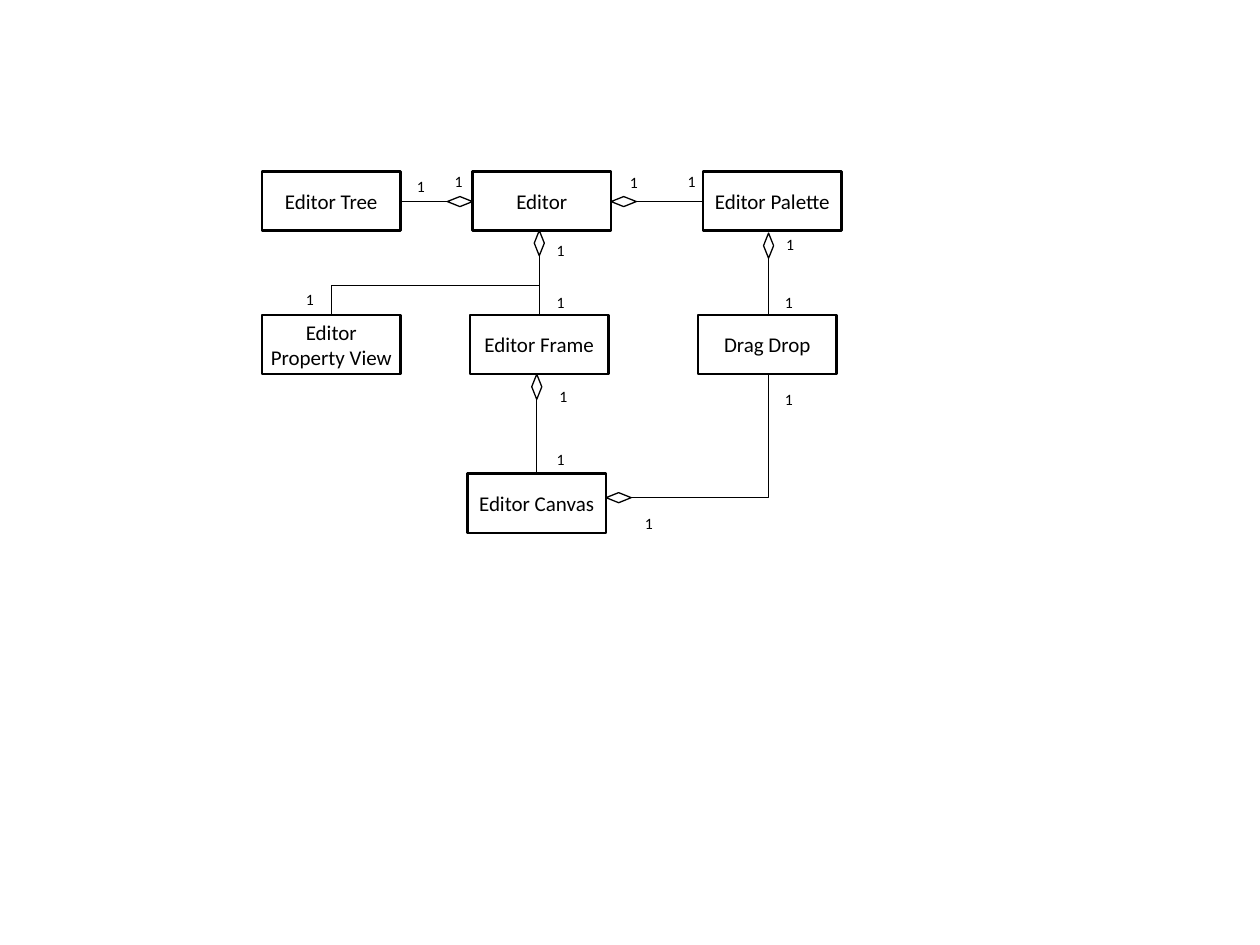
import dataclasses

import pptx
import pptx.dml.color
import pptx.enum.shapes
import pptx.enum.text
import pptx.oxml
import pptx.oxml.ns
import pptx.util

SHAPES = pptx.enum.shapes.MSO_SHAPE
CONNECTORS = pptx.enum.shapes.MSO_CONNECTOR


@dataclasses.dataclass(frozen=True)
class Theme:
    ink: str = "000000"
    paper: str = "FFFFFF"
    font: str = "Calibri"
    class_size: float = 12
    count_size: float = 9
    border: float = 1.4
    diamond_border: float = 0.75
    link: float = 0.7


@dataclasses.dataclass(frozen=True)
class Grid:
    """Region whose left, top, columns and rows are lengths in EMU."""
    left: int
    top: int
    column: float
    row: float

    def size(self, columns, rows):
        return round(columns * self.column), round(rows * self.row)

    def point(self, columns, rows):
        x, y = self.size(columns, rows)
        return self.left + x, self.top + y


THEME = Theme()

# All places below are columns and rows from the diagram's top left corner.
CLASS_SIZE = (11, 4.7)
CLASSES = {
    "Editor Tree": (0, 0),
    "Editor": (16.7, 0),
    "Editor Palette": (35, 0),
    "Editor Property View": (0, 11.4),
    "Editor Frame": (16.5, 11.4),
    "Drag Drop": (34.6, 11.4),
    "Editor Canvas": (16.3, 24),
}
DIAMOND_LENGTH, DIAMOND_WIDTH = 2, 0.8
LEFT, RIGHT, DOWN = (-1, 0), (1, 0), (0, 1)
# Owner's edge, direction of the diamond, end of the straight link.
AGGREGATIONS = [
    ((16.7, 2.4), LEFT, (11.1, 2.4)),
    ((27.7, 2.4), RIGHT, (35, 2.4)),
    ((22, 4.7), DOWN, (22, 11.4)),
    ((40.2, 4.9), DOWN, (40.2, 11.4)),
    ((21.8, 16.1), DOWN, (21.8, 24)),
    ((27.3, 25.9), RIGHT, None),
]
# Start, end and preset of the links that leave downwards and turn left.
BENT_LINKS = [
    ((40.2, 16.1), (29.3, 25.9), "bentConnector2"),
    ((22, 6.7), (5.5, 11.4), "bentConnector3"),
]
COUNT_SIZE = (2.2, 2.5)
COUNT_PLACES = [
    (11.3, -0.1), (14.3, -0.5), (28.2, -0.4), (32.8, -0.5),
    (22.4, 5), (40.6, 4.5), (2.5, 8.9), (22.4, 9.1), (40.5, 9.1),
    (22.6, 16.6), (40.5, 16.8), (22.4, 21.6), (29.4, 26.7),
]


def rgb(value):
    return pptx.dml.color.RGBColor.from_string(value)


def write(shape, text, *, size, align=None, anchor=None, inset=None):
    frame = shape.text_frame
    frame.word_wrap = True
    if anchor is not None:
        frame.vertical_anchor = anchor
    if inset is not None:
        frame.margin_left = frame.margin_right = pptx.util.Inches(inset)
        frame.margin_top = frame.margin_bottom = pptx.util.Inches(inset)
    paragraph = frame.paragraphs[0]
    paragraph.alignment = align
    run = paragraph.add_run()
    run.text = text
    run.font.name = THEME.font
    run.font.size = pptx.util.Pt(size)
    run.font.color.rgb = rgb(THEME.ink)


def outlined(slide, preset, position, size, border):
    shape = slide.shapes.add_shape(preset, *position, *size)
    shape.shadow.inherit = False
    shape.fill.solid()
    shape.fill.fore_color.rgb = rgb(THEME.paper)
    shape.line.color.rgb = rgb(THEME.ink)
    shape.line.width = pptx.util.Pt(border)
    return shape


def link(slide, start, end, kind=CONNECTORS.STRAIGHT):
    connector = slide.shapes.add_connector(kind, *start, *end)
    connector.line.color.rgb = rgb(THEME.ink)
    connector.line.width = pptx.util.Pt(THEME.link)
    properties = connector._element.spPr
    properties.append(pptx.oxml.parse_xml(
        f"<a:effectLst {pptx.oxml.ns.nsdecls('a')}/>"))
    return properties


def bent_link(slide, start, end, preset):
    """Turns an elbow by 90 degrees about its middle, so it starts downwards."""
    middle_x, middle_y = (start[0] + end[0]) // 2, (start[1] + end[1]) // 2
    half_w, half_h = (end[1] - start[1]) // 2, (start[0] - end[0]) // 2
    properties = link(slide, (middle_x - half_w, middle_y - half_h),
                      (middle_x + half_w, middle_y + half_h), CONNECTORS.ELBOW)
    properties.find(pptx.oxml.ns.qn("a:xfrm")).set("rot", str(90 * 60000))
    properties.find(pptx.oxml.ns.qn("a:prstGeom")).set("prst", preset)


def aggregation(slide, grid, tip, direction, end):
    (x, y), (dx, dy) = tip, direction
    half = DIAMOND_LENGTH / 2
    corner = (x + dx * half - DIAMOND_WIDTH / 2, y + dy * half - half)
    diamond = outlined(slide, SHAPES.DIAMOND, grid.point(*corner),
                       grid.size(DIAMOND_WIDTH, DIAMOND_LENGTH),
                       THEME.diamond_border)
    diamond.rotation = 90 if dx else 0
    if end:
        far_tip = (x + dx * DIAMOND_LENGTH, y + dy * DIAMOND_LENGTH)
        link(slide, grid.point(*end), grid.point(*far_tip))


def class_diagram(slide, grid):
    for name, place in CLASSES.items():
        box = outlined(slide, SHAPES.RECTANGLE, grid.point(*place),
                       grid.size(*CLASS_SIZE), THEME.border)
        write(box, name, size=THEME.class_size, inset=0.04,
              align=pptx.enum.text.PP_ALIGN.CENTER,
              anchor=pptx.enum.text.MSO_ANCHOR.MIDDLE)
    for tip, direction, end in AGGREGATIONS:
        aggregation(slide, grid, tip, direction, end)
    for start, end, preset in BENT_LINKS:
        bent_link(slide, grid.point(*start), grid.point(*end), preset)
    for place in COUNT_PLACES:
        count = slide.shapes.add_textbox(*grid.point(*place),
                                         *grid.size(*COUNT_SIZE))
        write(count, "1", size=THEME.count_size)


def main():
    deck = pptx.Presentation()
    deck.slide_width = pptx.util.Inches(10)
    deck.slide_height = pptx.util.Inches(7.5)
    slide = deck.slides.add_slide(deck.slide_layouts[6])
    column, row = deck.slide_width / 100, deck.slide_height / 75
    class_diagram(slide, Grid(round(20.8 * column), round(13.6 * row),
                              column, row))
    deck.save("out.pptx")


if __name__ == "__main__":
    main()
